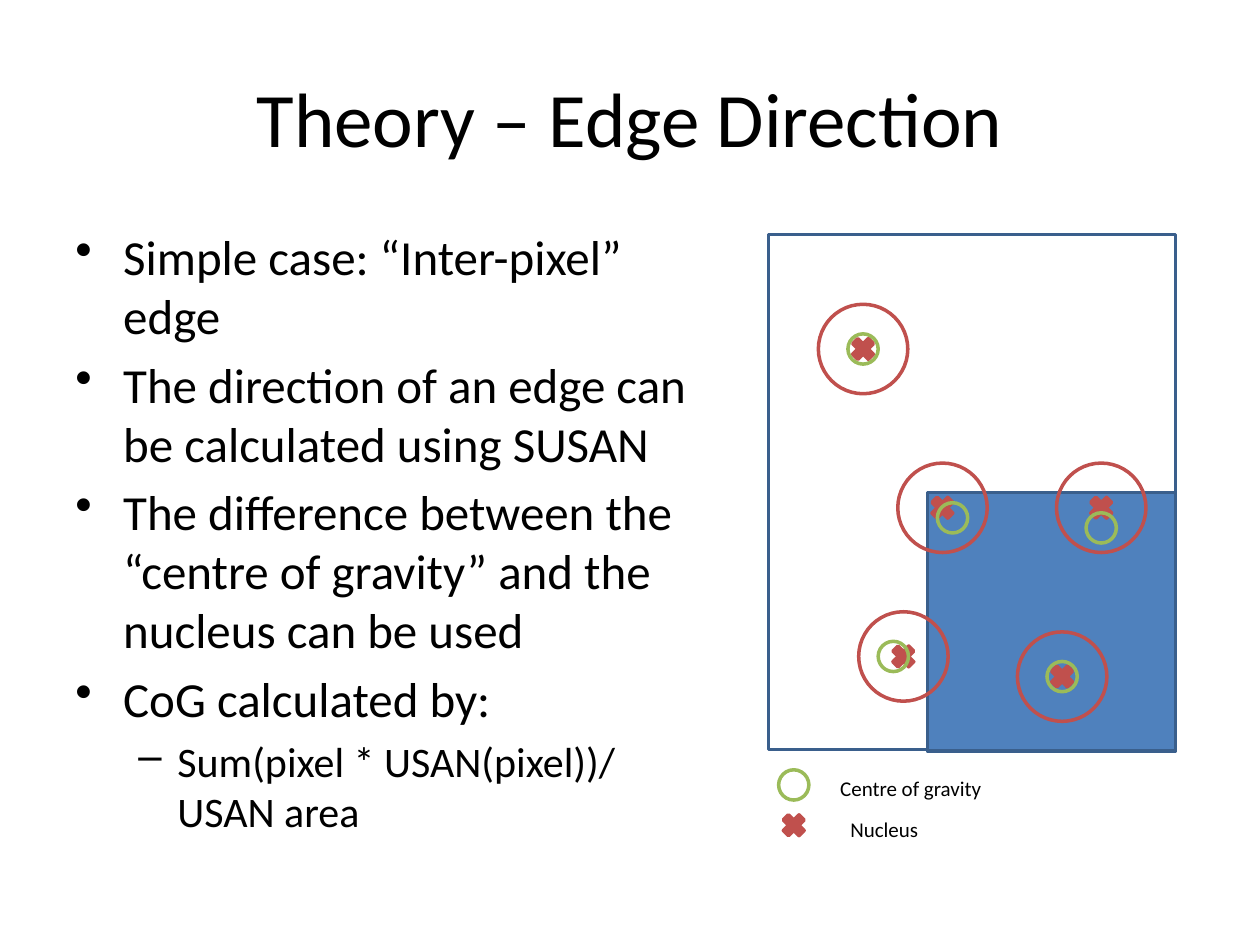
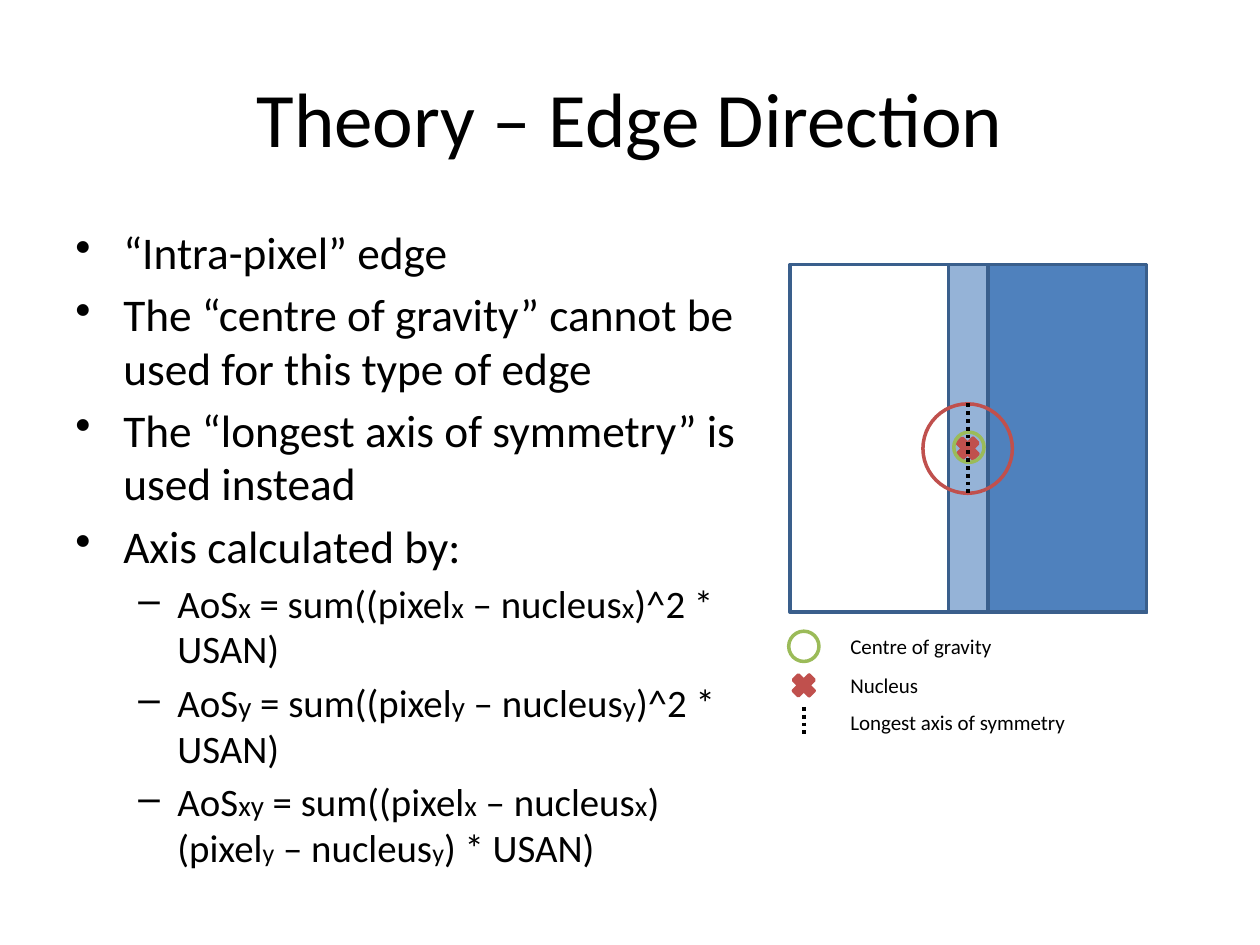
"""Build two slides on edge direction theory."""
from lxml import etree
from pptx import Presentation
from pptx.dml.color import RGBColor
from pptx.enum.dml import MSO_LINE
from pptx.enum.shapes import MSO_CONNECTOR, MSO_SHAPE
from pptx.enum.text import MSO_ANCHOR, PP_ALIGN
from pptx.oxml.ns import qn
from pptx.util import Inches, Pt

RECT, RING, CROSS = MSO_SHAPE.RECTANGLE, MSO_SHAPE.OVAL, MSO_SHAPE.MATH_MULTIPLY
LINE, DOTS = MSO_CONNECTOR.STRAIGHT, MSO_LINE.ROUND_DOT
MID, CENTER = MSO_ANCHOR.MIDDLE, PP_ALIGN.CENTER
FONT, TITLE = "Calibri", "Theory – Edge Direction"
HEX = {"ink": "000000", "white": "FFFFFF", "edge": "3A5F8C", "blue": "4F81BD",
       "pale": "95B3D7", "red": "C0504D", "green": "9BBB59"}
RGB = {name: RGBColor.from_string(code) for name, code in HEX.items()}
BIG, SMALL = 0.71, 0.24
INDENT = [("•", 0.38, -0.38), ("–", 0.81, -0.31)]


def draw(slide, kind, box, line, fill=None):
    shape = slide.shapes.add_shape(kind, *map(Inches, box))
    shape.shadow.inherit = False
    if fill:
        shape.fill.solid()
        shape.fill.fore_color.rgb = RGB[fill]
    else:
        shape.fill.background()
    shape.line.color.rgb = RGB[line]
    shape.line.width = Pt(2)


def style(para, size):
    para.font.name = FONT
    para.font.size = Pt(size)
    para.font.color.rgb = RGB["ink"]


pages = [
    {"width": 5.13, "sizes": (28, 24), "space": 1.0,
     "body": [
         (0, "Simple case: “Inter-pixel” edge", ()),
         (0, "The direction of an edge can be calculated using SUSAN", ()),
         (0, "The difference between the “centre of gravity” and the nucleus can be used", ()),
         (0, "CoG calculated by:", ()),
         (1, "Sum(pixel * USAN(pixel))/ USAN area", ())],
     "rects": [(6.1, 1.86, 3.23, 4.09, "white"), (7.36, 3.91, 1.97, 2.05, "blue")],
     "spots": [(6.85, 2.77, 0, 0), (7.48, 4.03, 0.08, 0.08), (8.74, 4.03, 0, 0.16),
               (8.43, 5.37, 0, 0), (7.17, 5.21, -0.08, 0)],
     "axes": [],
     "keys": [(RING, 6.18, 6.11, "green", None), (CROSS, 6.18, 6.43, "red", "red")],
     "notes": [(6.57, 6.11, "Centre of gravity"), (6.65, 6.43, "Nucleus")]},
    {"width": 5.52, "sizes": (25.9, 22.2), "space": 0.98,
     "body": [
         (0, "“Intra-pixel” edge", ()),
         (0, "The “centre of gravity” cannot be used for this type of edge", ()),
         (0, "The “longest axis of symmetry” is used instead", ()),
         (0, "Axis calculated by:", ()),
         (1, "AoS|x| = sum((pixel|x| – nucleus|x|)^2 * USAN)", (16.6,) * 3),
         (1, "AoS|y| = sum((pixel|y| – nucleus|y|)^2 * USAN)", (16.6,) * 3),
         (1, "AoS|xy| = sum((pixel|x| – nucleus|x|) (pixel|y| – nucleus|y|) * USAN)",
          (16.6, 16.6, 16.6, 14.8, 14.8))],
     "rects": [(6.27, 2.1, 2.83, 2.76, "white"), (7.53, 2.1, 1.57, 2.76, "pale"),
               (7.84, 2.1, 1.26, 2.76, "blue")],
     "spots": [(7.68, 3.56, 0.01, -0.01)],
     "axes": [(7.68, 3.2, 3.91), (6.38, 5.61, 5.85)],
     "keys": [(RING, 6.26, 5.01, "green", None), (CROSS, 6.26, 5.32, "red", "red")],
     "notes": [(6.65, 4.98, "Centre of gravity"), (6.65, 5.29, "Nucleus"),
               (6.65, 5.58, "Longest axis of symmetry")]},
]

deck = Presentation()
deck.slide_width, deck.slide_height = Inches(10), Inches(7.5)

for page in pages:
    slide = deck.slides.add_slide(deck.slide_layouts[5])
    title = slide.shapes.title
    title.left, title.top = Inches(0.5), Inches(0.3)
    title.width, title.height = Inches(9), Inches(1.25)
    title.text_frame.text = TITLE
    title.text_frame.vertical_anchor = MID
    head = title.text_frame.paragraphs[0]
    head.alignment = CENTER
    style(head, 44)

    body = slide.shapes.add_textbox(Inches(0.5), Inches(1.75), Inches(page["width"]), Inches(4.95))
    frame = body.text_frame
    frame.word_wrap = True
    for row, (level, text, subs) in enumerate(page["body"]):
        para = frame.add_paragraph() if row else frame.paragraphs[0]
        size = page["sizes"][level]
        mark, left, hang = INDENT[level]
        para.level = level
        para.line_spacing = page["space"]
        para.space_before = Pt(size * 0.2)
        props = para._p.get_or_add_pPr()
        props.set("marL", str(Inches(left)))
        props.set("indent", str(Inches(hang)))
        etree.SubElement(props, qn("a:buChar")).set("char", mark)
        style(para, size)
        for spot, part in enumerate(text.split("|")):
            run = para.add_run()
            run.text = part
            if spot % 2:
                run.font.size = Pt(subs[spot // 2])

    for *box, fill in page["rects"]:
        draw(slide, RECT, box, "edge", fill)
    for x, y, dx, dy in page["spots"]:
        draw(slide, RING, (x - BIG / 2, y - BIG / 2, BIG, BIG), "red")
        x, y = x - SMALL / 2, y - SMALL / 2
        draw(slide, CROSS, (x, y, SMALL, SMALL), "red", "red")
        draw(slide, RING, (x + dx, y + dy, SMALL, SMALL), "green")
    for kind, x, y, line, fill in page["keys"]:
        draw(slide, kind, (x, y, SMALL, SMALL), line, fill)
    for x, top, end in page["axes"]:
        axis = slide.shapes.add_connector(LINE, Inches(x), Inches(top), Inches(x), Inches(end))
        axis.line.color.rgb = RGB["ink"]
        axis.line.width = Pt(2.25)
        axis.line.dash_style = DOTS
        etree.SubElement(axis._element.spPr, qn("a:effectLst"))
    for x, y, text in page["notes"]:
        note = slide.shapes.add_textbox(Inches(x), Inches(y), Inches(2.76), Inches(0.3))
        note.text_frame.word_wrap = True
        note.text_frame.text = text
        style(note.text_frame.paragraphs[0], 12)

deck.save("out.pptx")
